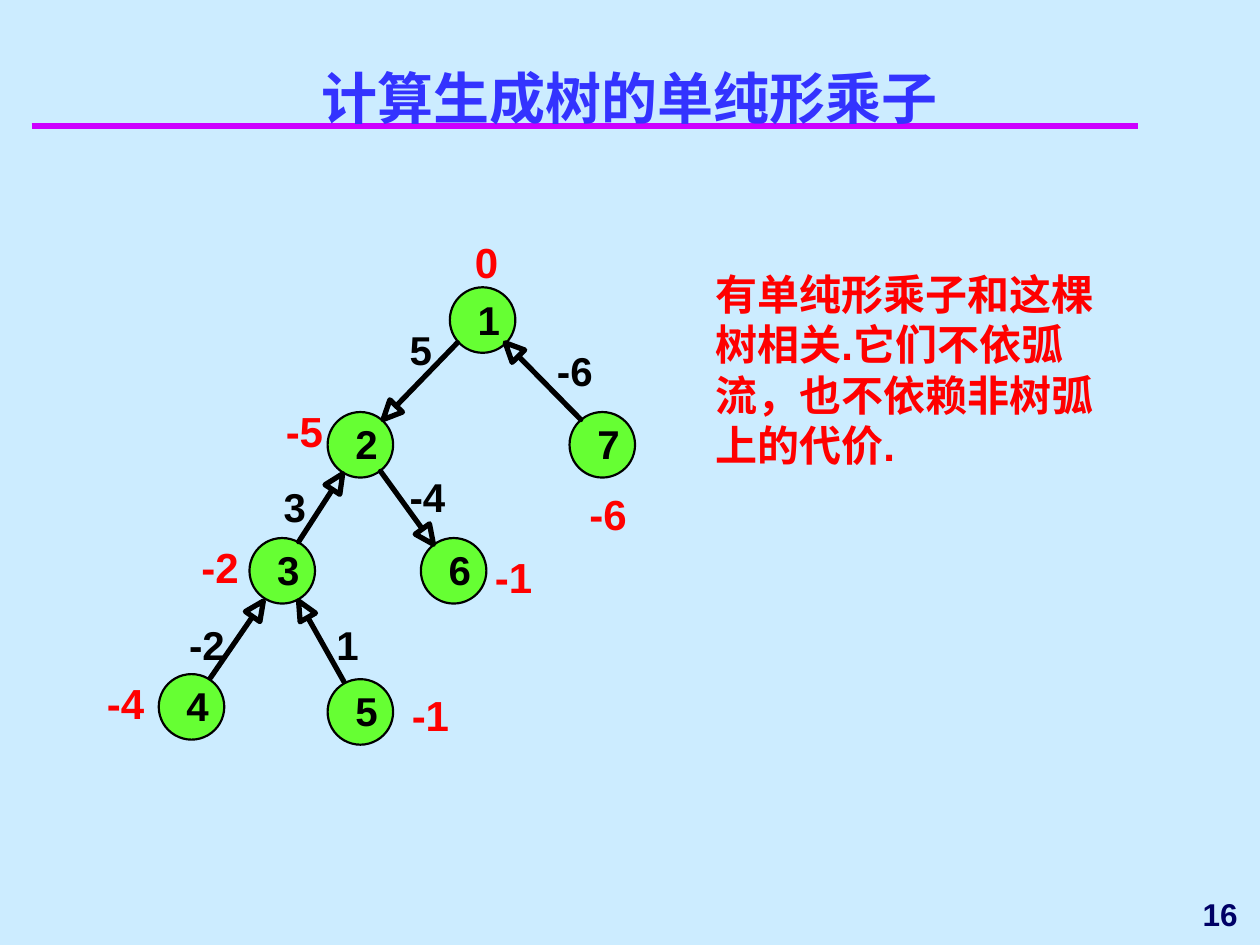
from collections import namedtuple
from math import hypot

from lxml.etree import SubElement
from pptx import Presentation
from pptx.dml.color import RGBColor
from pptx.enum.shapes import MSO_CONNECTOR, MSO_SHAPE
from pptx.enum.text import MSO_ANCHOR, PP_ALIGN
from pptx.oxml.ns import qn
from pptx.util import Inches, Pt

COLORS = {
    "background": "CCECFF",
    "title": "3333FF",
    "rule": "CC00FF",
    "node": "66FF33",
    "ink": "000000",
    "multiplier": "FF0000",
    "number": "000066",
}
FONT = "Arial"
NODE_SIZE = 0.52
HEAD_LENGTH, HEAD_HALF_WIDTH = 0.15, 0.07

Box = namedtuple("Box", "left top width height")
Node = namedtuple("Node", "name center multiplier multiplier_at")
Arc = namedtuple("Arc", "start tip cost cost_at")

# Positions are inches from the top left corner of the tree's box.
NODES = [
    Node("1", (3.08, 0.79), "0", (2.92, 0.08)),
    Node("3", (1.49, 2.78), "-2", (0.75, 2.5)),
    Node("6", (2.85, 2.78), "-1", (3.08, 2.58)),
    Node("4", (0.77, 3.86), "-4", (0, 3.58)),
    Node("5", (2.11, 3.9), "-1", (2.42, 3.67)),
    Node("2", (2.11, 1.78), "-5", (1.42, 1.42)),
    Node("7", (4.03, 1.78), "-6", (3.83, 2.08)),
]
ARCS = [
    Arc((2.88, 0.97), (2.29, 1.58), "5", (2.5, 0.83)),
    Arc((1.62, 2.55), (1.97, 2.01), "3", (1.5, 2.08)),
    Arc((0.92, 3.63), (1.34, 3.02), "-2", (0.75, 3.17)),
    Arc((1.98, 3.66), (1.62, 3.02), "1", (1.92, 3.17)),
    Arc((2.27, 1.99), (2.69, 2.57), "-4", (2.5, 2)),
    Arc((3.86, 1.58), (3.26, 0.97), "-6", (3.67, 1)),
]


def rgb(name):
    return RGBColor.from_string(COLORS[name])


def add_text(page, box, text, size, color, align=PP_ALIGN.LEFT,
             anchor=MSO_ANCHOR.TOP, tight=False):
    """Add bold text; a tight box has no margins and does not wrap."""
    shape = page.shapes.add_textbox(*map(Inches, box))
    frame = shape.text_frame
    frame.word_wrap = not tight
    frame.vertical_anchor = anchor
    if tight:
        frame.margin_left = frame.margin_right = 0
        frame.margin_top = frame.margin_bottom = 0
    para = frame.paragraphs[0]
    para.text = text
    para.alignment = align
    para.font.name = FONT
    para.font.size = Pt(size)
    para.font.bold = True
    para.font.color.rgb = rgb(color)
    return para


def add_title(page, box):
    rule_y = Inches(box.top + 0.33)
    rule = page.shapes.add_connector(
        MSO_CONNECTOR.STRAIGHT, Inches(box.left + 0.25), rule_y,
        Inches(box.left + 9.03), rule_y)
    rule.line.color.rgb = rgb("rule")
    rule.line.width = Pt(4)
    SubElement(rule._element.spPr, qn("a:effectLst"))
    add_text(page, box, "计算生成树的单纯形乘子", 32, "title",
             PP_ALIGN.CENTER, MSO_ANCHOR.BOTTOM)


def add_label(page, left, top, text):
    add_text(page, Box(left, top, 0.07 + 0.11 * len(text), 0.38), text, 23,
             "ink", tight=True)


def add_node(page, x, y, name):
    left, top = x - NODE_SIZE / 2, y - NODE_SIZE / 2
    circle = page.shapes.add_shape(
        MSO_SHAPE.OVAL, Inches(left), Inches(top),
        Inches(NODE_SIZE), Inches(NODE_SIZE))
    circle.shadow.inherit = False
    circle.fill.solid()
    circle.fill.fore_color.rgb = rgb("node")
    circle.line.color.rgb = rgb("ink")
    circle.line.width = Pt(1.25)
    add_label(page, left + 0.22, top + 0.06, name)


def add_arrow(page, start, tip):
    """Draw a shaft and an open triangular head as one outline."""
    length = hypot(tip[0] - start[0], tip[1] - start[1])
    along_x = (tip[0] - start[0]) / length
    along_y = (tip[1] - start[1]) / length
    base = (tip[0] - HEAD_LENGTH * along_x, tip[1] - HEAD_LENGTH * along_y)
    corners = [(base[0] + side * along_y, base[1] - side * along_x)
               for side in (HEAD_HALF_WIDTH, -HEAD_HALF_WIDTH)]
    outline = [base, corners[0], tip, corners[1], base]
    builder = page.shapes.build_freeform(*map(Inches, start))
    builder.add_line_segments([(Inches(x), Inches(y)) for x, y in outline],
                              close=True)
    arrow = builder.convert_to_shape()
    arrow.shadow.inherit = False
    arrow.fill.background()
    arrow.line.color.rgb = rgb("ink")
    arrow.line.width = Pt(3)


def add_tree(page, box):
    def place(point):
        return box.left + point[0], box.top + point[1]

    for node in NODES:
        add_node(page, *place(node.center), node.name)
    for arc in ARCS:
        add_label(page, *place(arc.cost_at), arc.cost)
    for arc in ARCS:
        add_arrow(page, place(arc.start), place(arc.tip))
    for node in NODES:
        add_text(page, Box(*place(node.multiplier_at), 1, 0.5),
                 node.multiplier, 24, "multiplier")


def add_remark(page, box):
    para = add_text(page, box, "有单纯形乘子和这棵树相关.它们不依弧流，也不依赖",
                    24, "multiplier")
    for text, font in (("非树弧上", "Times New Roman"), ("的代价.", FONT)):
        span = para.add_run()
        span.text = text
        span.font.name = font


def main():
    deck = Presentation()
    deck.slide_width, deck.slide_height = Inches(10), Inches(7.5)
    page = deck.slides.add_slide(deck.slide_layouts[6])
    page.background.fill.solid()
    page.background.fill.fore_color.rgb = rgb("background")
    add_title(page, Box(0, 0.67, 10, 0.42))
    add_tree(page, Box(0.75, 1.75, 4.83, 4.17))
    add_remark(page, Box(5.58, 2.08, 3.25, 1.7))
    add_text(page, Box(8, 7, 1.92, 0.5), "16", 18, "number",
             PP_ALIGN.RIGHT, MSO_ANCHOR.MIDDLE)
    deck.save("out.pptx")


if __name__ == "__main__":
    main()
